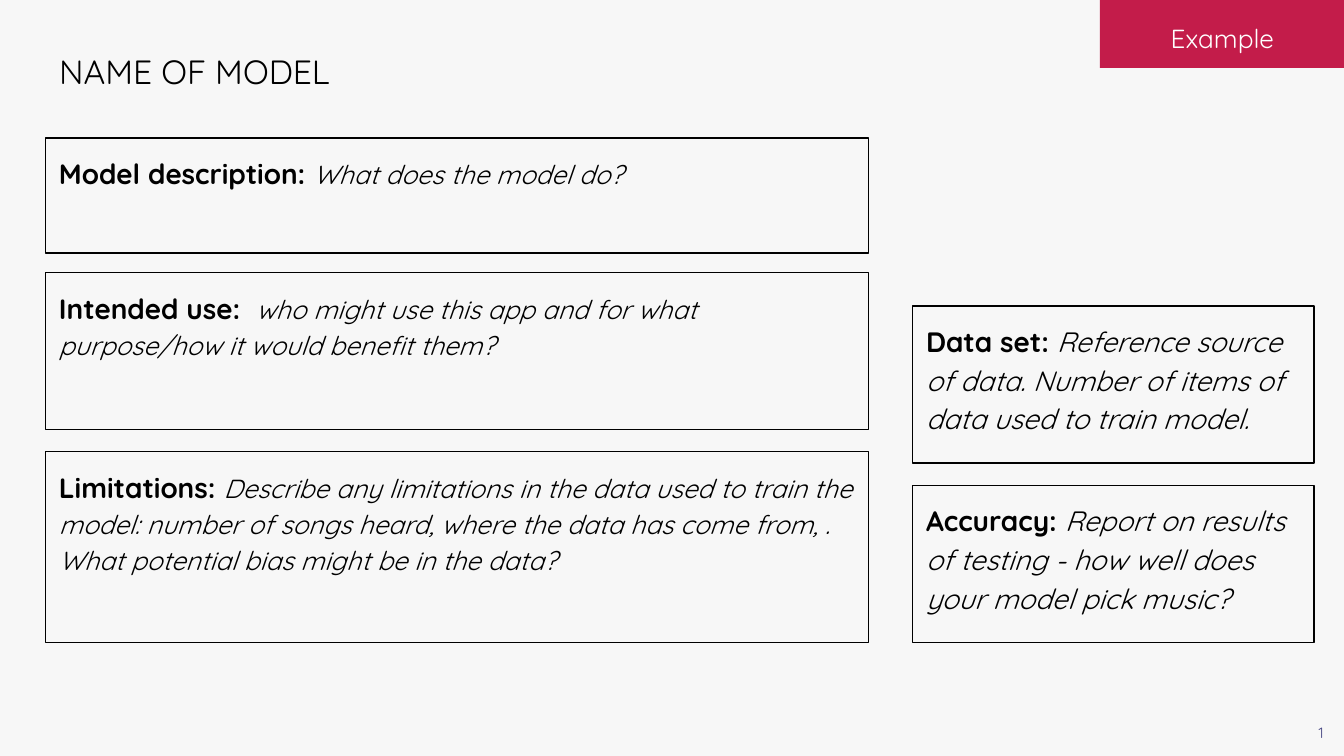
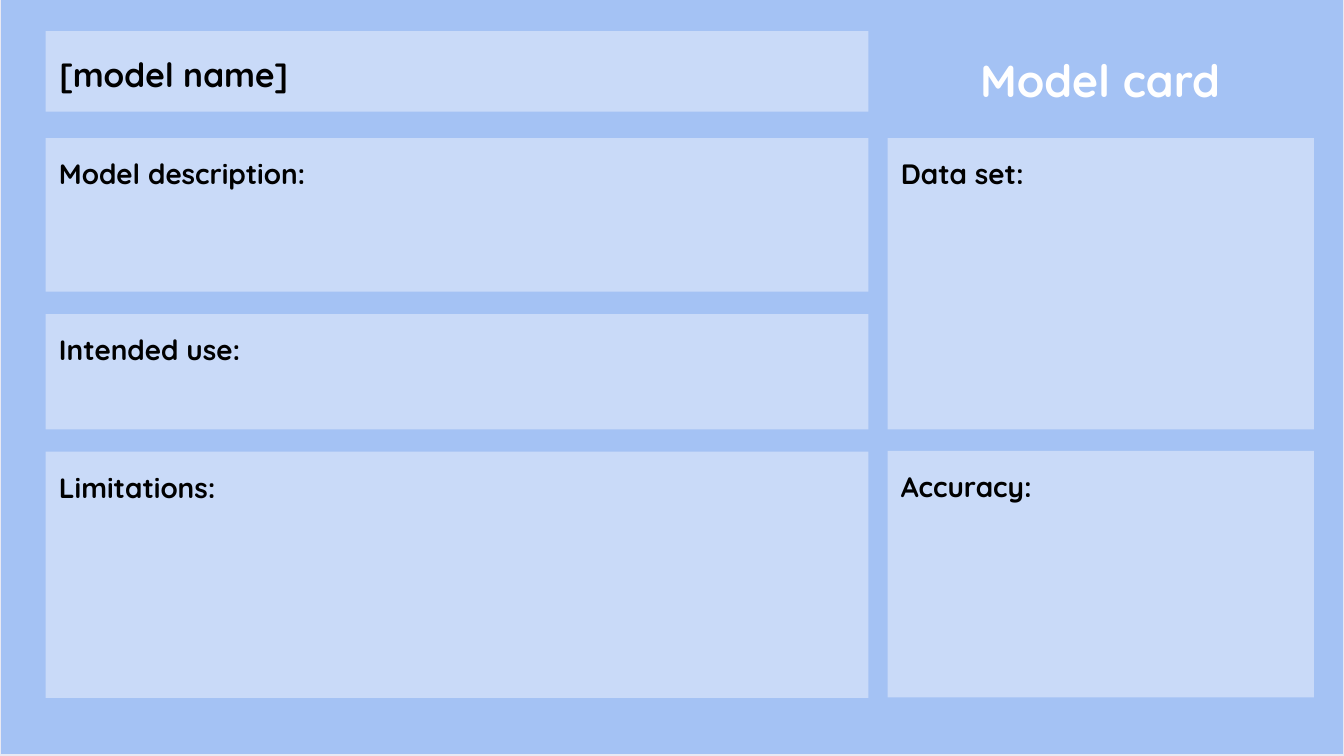
from lxml import etree
from pptx import Presentation
from pptx.dml.color import RGBColor
from pptx.enum import shapes, text
from pptx.oxml.ns import qn
from pptx.util import Pt

FONT = "Quicksand"
COLORS = {
    "page": "F7F7F7", "band": "C31C4A", "ink": "000000", "white": "FFFFFF",
    "number": "494985", "backdrop": "A4C2F4", "edge": "E9E9F3", "card": "C9DAF8",
}
LEFT, LEFT_W = 24.5, 440.7
TITLE_TOP, TITLE_H = 16.6, 43.2


def add_box(s, at, fill=None, line=None):
    sp = s.shapes.add_shape(shapes.MSO_SHAPE.RECTANGLE, *[Pt(v) for v in at])
    sp.shadow.inherit = False
    for part, color in ((sp.fill, fill), (sp.line.fill, line)):
        if color:
            part.solid()
            part.fore_color.rgb = RGBColor.from_string(COLORS[color])
        else:
            part.background()
    if line:
        sp.line.width = Pt(0.75)
    return sp


def write(sp, runs, color="ink", align="LEFT", anchor="TOP", spacing=1.15):
    """Fill a shape with one paragraph of (text, size, bold, italic) runs."""
    tf = sp.text_frame
    tf.word_wrap = True
    tf.auto_size = text.MSO_AUTO_SIZE.NONE
    tf.vertical_anchor = text.MSO_ANCHOR[anchor]
    tf.margin_left = tf.margin_right = tf.margin_top = tf.margin_bottom = Pt(7.2)
    p = tf.paragraphs[0]
    p.alignment = text.PP_ALIGN[align]
    p.line_spacing = spacing
    for content, size, bold, italic in runs:
        r = p.add_run()
        r.text = content
        r.font.name = FONT
        r.font.size = Pt(size)
        r.font.bold = bold
        r.font.italic = italic
        r.font.color.rgb = RGBColor.from_string(COLORS[color])


prs = Presentation()
prs.slide_width, prs.slide_height = Pt(720), Pt(405)
layout = prs.slide_layouts[5]
fill = prs.slide_master.background.fill
fill.solid()
fill.fore_color.rgb = RGBColor.from_string(COLORS["page"])

example = prs.slides.add_slide(layout)
card = prs.slides.add_slide(layout)

# The red band belongs to the layout, behind everything else
band = add_box(example, (589.2, 0, 130.8, 36.4), fill="band")
layout.shapes.element.insert(2, band.element)

# The card has a full-page backdrop behind its title
backdrop = add_box(card, (0, -0.5, 720, 405), fill="backdrop", line="edge")
card.shapes.element.insert(2, backdrop.element)

# Titles and corner labels
headings = [
    (example, "NAME OF MODEL", False, 552.2, "TOP",
     "Example", 14, (594, 2.2, 121.7, 30.2)),
    (card, "[model name]", True, LEFT_W, "MIDDLE",
     "Model card", 24, (478.1, TITLE_TOP, 222.5, TITLE_H)),
]
for s, name, bold, width, anchor, label, size, at in headings:
    title = s.shapes.title
    title.left, title.top = Pt(LEFT), Pt(TITLE_TOP)
    title.width, title.height = Pt(width), Pt(TITLE_H)
    write(title, [(name, 18, bold, False)], anchor=anchor)
    sp = s.shapes.add_textbox(*[Pt(v) for v in at])
    write(sp, [(label, size, bold, False)], "white", "CENTER")

title = card.shapes.title
title.fill.solid()
title.fill.fore_color.rgb = RGBColor.from_string(COLORS["card"])

# Sections: label, prompt, prompt size, place on the example, place on the card
EXAMPLE_X, EXAMPLE_W = 489, 214.9
CARD_X, CARD_W = 475.5, 228.4
sections = [
    ("Model description:", " What does the model do?", 14,
     (LEFT, 74, LEFT_W, 61.6), (LEFT, 74, LEFT_W, 82.3)),
    ("Intended use:", "  who might use this app and for what purpose/how it would "
     "benefit them?", 14,
     (LEFT, 146, LEFT_W, 84.1), (LEFT, 168.3, LEFT_W, 61.7)),
    ("Limitations:", " Describe any limitations in the data used to train the model: "
     "number of songs heard, where the data has come from, . "
     "What potential bias might be in the data?", 14,
     (LEFT, 241.9, LEFT_W, 102.2), (LEFT, 241.9, LEFT_W, 132)),
    ("Data set:", " Reference source of data. Number of items of data used to train "
     "model.", 15,
     (EXAMPLE_X, 164, EXAMPLE_W, 84), (CARD_X, 74, CARD_W, 156)),
    ("Accuracy:", " Report on results of testing - how well does your model pick "
     "music?", 15,
     (EXAMPLE_X, 260.1, EXAMPLE_W, 84), (CARD_X, 241.6, CARD_W, 132)),
]
for label, prompt, size, example_at, card_at in sections:
    gap = prompt[:len(prompt) - len(prompt.lstrip())]
    write(add_box(example, example_at, line="ink"),
          [(label + gap, 15, True, False), (prompt.lstrip(), size, False, True)])
    write(add_box(card, card_at, fill="card"), [(label, 15, True, False)])

# Slide number as a live field
number = example.shapes.add_textbox(Pt(695.5), Pt(380.2), Pt(24.5), Pt(24.5))
write(number, [("1", 8, False, False)], "number", "CENTER", spacing=1.0)
run = number.text_frame.paragraphs[0].runs[0].font
field = etree.Element(qn("a:fld"), id="{B6F15528-21DE-4FAA-801E-634DDDAF4B2B}",
                      type="slidenum")
r = number.element.find(".//" + qn("a:r"))
r.getparent().replace(r, field)
field.extend(list(r))

prs.save("out.pptx")
